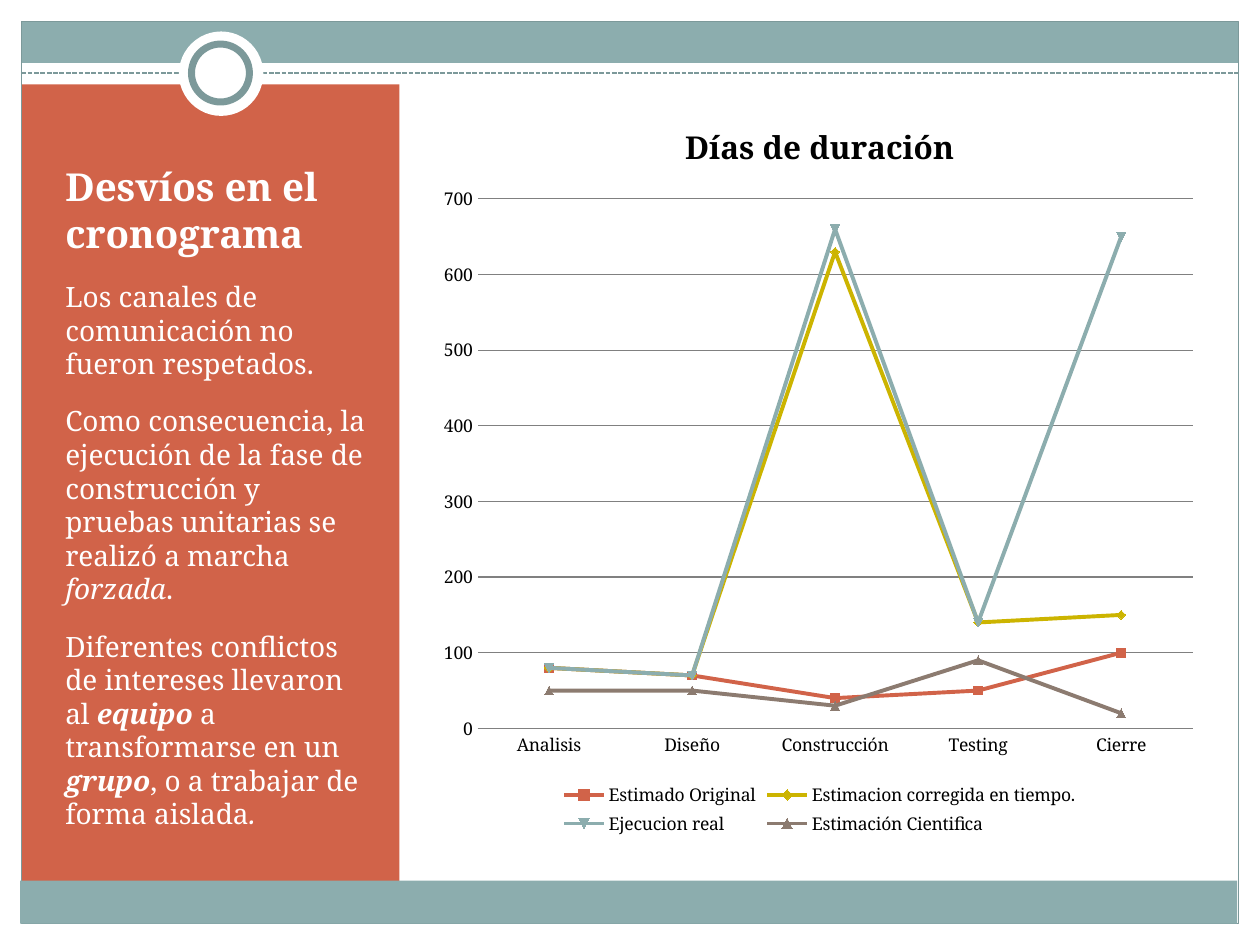
import lxml.etree
import pptx
import pptx.chart.data
import pptx.dml.color
import pptx.enum.chart
import pptx.enum.dml
import pptx.enum.shapes
import pptx.enum.text
import pptx.oxml.ns
import pptx.util

Inches = pptx.util.Inches
Pt = pptx.util.Pt
RGBColor = pptx.dml.color.RGBColor
Shapes = pptx.enum.shapes.MSO_SHAPE

WHITE = RGBColor(0xFF, 0xFF, 0xFF)
BLACK = RGBColor(0x00, 0x00, 0x00)
GRAY = RGBColor(0x80, 0x80, 0x80)
TEAL = RGBColor(0x8C, 0xAD, 0xAE)
DARK_TEAL = RGBColor(0x7C, 0x99, 0x9A)
RED = RGBColor(0xD1, 0x63, 0x49)
YELLOW = RGBColor(0xCC, 0xB4, 0x00)
BROWN = RGBColor(0x8C, 0x7B, 0x70)
FONT = "Noto Serif"

PHASES = ["Analisis", "Diseño", "Construcción", "Testing", "Cierre"]
DURATIONS = [
    ("Estimado Original", (80, 70, 40, 50, 100), RED),
    ("Estimacion corregida en tiempo.", (80, 70, 630, 140, 150), YELLOW),
    ("Ejecucion real", (80, 70, 660, 140, 650), TEAL),
    ("Estimación Cientifica", (50, 50, 30, 90, 20), BROWN),
]
PLOT_LAYOUT = {"x": 0.06, "y": 0.14, "w": 0.92, "h": 0.71}
TITLE = [[("Desvíos en el cronograma", True, False)]]
BODY = [
    [("Los canales de comunicación no fueron respetados.", False, False)],
    [
        ("Como consecuencia, la ejecución de la fase de construcción "
         "y pruebas unitarias se realizó a marcha ", False, False),
        ("forzada", False, True),
        (".", False, False),
    ],
    [
        ("Diferentes conflictos de intereses llevaron al ", False, False),
        ("equipo", True, True),
        (" a transformarse en un ", False, False),
        ("grupo", True, True),
        (", o a trabajar de forma aislada", False, False),
        (".", False, True),
    ],
]


def add_plain_shape(slide, kind, box, fill=None, line=None, width=0.75):
    shape = slide.shapes.add_shape(kind, *map(Inches, box))
    shape.shadow.inherit = False
    if fill is None:
        shape.fill.background()
    else:
        shape.fill.solid()
        shape.fill.fore_color.rgb = fill
    if line is None:
        shape.line.fill.background()
    else:
        shape.line.color.rgb = line
        shape.line.width = Pt(width)


def add_dashed_line(slide, left, right, top):
    connector = slide.shapes.add_connector(
        pptx.enum.shapes.MSO_CONNECTOR.STRAIGHT,
        Inches(left), Inches(top), Inches(right), Inches(top))
    connector.line.color.rgb = DARK_TEAL
    connector.line.width = Pt(0.9)
    connector.line.dash_style = pptx.enum.dml.MSO_LINE.SQUARE_DOT
    properties = connector._element.spPr
    lxml.etree.SubElement(properties, pptx.oxml.ns.qn("a:effectLst"))


def add_text(slide, box, paragraphs, size, anchor, before=0, after=0):
    text_frame = slide.shapes.add_textbox(*map(Inches, box)).text_frame
    text_frame.word_wrap = True
    text_frame.vertical_anchor = anchor
    for index, runs in enumerate(paragraphs):
        paragraph = text_frame.add_paragraph() if index else text_frame.paragraphs[0]
        paragraph.space_before = Pt(before)
        paragraph.space_after = Pt(after)
        for text, bold, italic in runs:
            run = paragraph.add_run()
            run.text = text
            format_font(run.font, size, WHITE, bold)
            run.font.italic = italic


def format_font(font, size, color, bold=False):
    font.name = FONT
    font.size = Pt(size)
    font.color.rgb = color
    font.bold = bold


def place_plot(chart):
    qn = pptx.oxml.ns.qn
    plot_area = chart._chartSpace.chart.plotArea
    for old_layout in plot_area.findall(qn("c:layout")):
        plot_area.remove(old_layout)
    layout = lxml.etree.Element(qn("c:layout"))
    plot_area.insert(0, layout)
    manual = lxml.etree.SubElement(layout, qn("c:manualLayout"))
    settings = {"layoutTarget": "inner", "xMode": "edge", "yMode": "edge", **PLOT_LAYOUT}
    for name, value in settings.items():
        lxml.etree.SubElement(manual, qn("c:" + name)).set("val", str(value))


def add_duration_chart(slide, box):
    chart_data = pptx.chart.data.CategoryChartData()
    chart_data.categories = PHASES
    for name, values, _ in DURATIONS:
        chart_data.add_series(name, values)
    chart = slide.shapes.add_chart(
        pptx.enum.chart.XL_CHART_TYPE.LINE_MARKERS,
        *map(Inches, box), chart_data).chart
    format_font(chart.font, 10, BLACK)
    place_plot(chart)

    chart.has_title = True
    chart.chart_title.text_frame.text = "Días de duración"
    title_run = chart.chart_title.text_frame.paragraphs[0].runs[0]
    format_font(title_run.font, 18, BLACK, True)
    chart.chart_title.include_in_layout = False

    chart.has_legend = True
    chart.legend.position = pptx.enum.chart.XL_LEGEND_POSITION.BOTTOM
    chart.legend.include_in_layout = False

    for axis in (chart.category_axis, chart.value_axis):
        axis.major_tick_mark = pptx.enum.chart.XL_TICK_MARK.NONE
        axis.minor_tick_mark = pptx.enum.chart.XL_TICK_MARK.NONE
    chart.category_axis.format.line.color.rgb = GRAY
    value_axis = chart.value_axis
    value_axis.minimum_scale = 0
    value_axis.maximum_scale = 700
    value_axis.major_unit = 100
    value_axis.format.line.fill.background()
    value_axis.has_major_gridlines = True
    value_axis.major_gridlines.format.line.color.rgb = GRAY

    chart.plots[0].vary_by_categories = False
    for series, (_, _, color) in zip(chart.plots[0].series, DURATIONS):
        series.smooth = False
        series.format.line.color.rgb = color
        series.format.line.width = Pt(2.25)
        series.marker.format.fill.solid()
        series.marker.format.fill.fore_color.rgb = color
        series.marker.format.line.color.rgb = color


def main():
    presentation = pptx.Presentation()
    presentation.slide_width = Inches(10)
    presentation.slide_height = Inches(7.5)
    slide = presentation.slides.add_slide(presentation.slide_layouts[6])

    for box, color in [
        ((0.17, 0.17, 9.66, 0.33), TEAL),
        ((0, 7.33, 10, 0.17), WHITE),
        ((9.83, 0, 0.17, 7.5), WHITE),
        ((0, 0, 10, 0.13), WHITE),
        ((0, 0, 0.17, 7.5), WHITE),
        ((0.17, 0.67, 3, 6.42), RED),
    ]:
        add_plain_shape(slide, Shapes.RECTANGLE, box, color)
    add_plain_shape(slide, Shapes.RECTANGLE, (0.17, 0.17, 9.66, 7.16), line=DARK_TEAL)
    add_dashed_line(slide, 0.17, 9.83, 0.58)
    add_plain_shape(slide, Shapes.OVAL, (1.42, 0.25, 0.67, 0.67), WHITE)
    add_plain_shape(slide, Shapes.OVAL, (1.52, 0.35, 0.46, 0.46), WHITE, DARK_TEAL, 4)
    add_plain_shape(slide, Shapes.RECTANGLE, (0.16, 6.99, 9.66, 0.34), TEAL)

    anchors = pptx.enum.text.MSO_ANCHOR
    add_text(slide, (0.42, 1, 2.58, 1.08), TITLE, 22, anchors.BOTTOM)
    add_text(slide, (0.42, 2.17, 2.58, 4.53), BODY, 16, anchors.TOP, 3.5, 10)
    add_duration_chart(slide, (3.42, 0.75, 6.17, 5.92))
    presentation.save("out.pptx")


if __name__ == "__main__":
    main()
